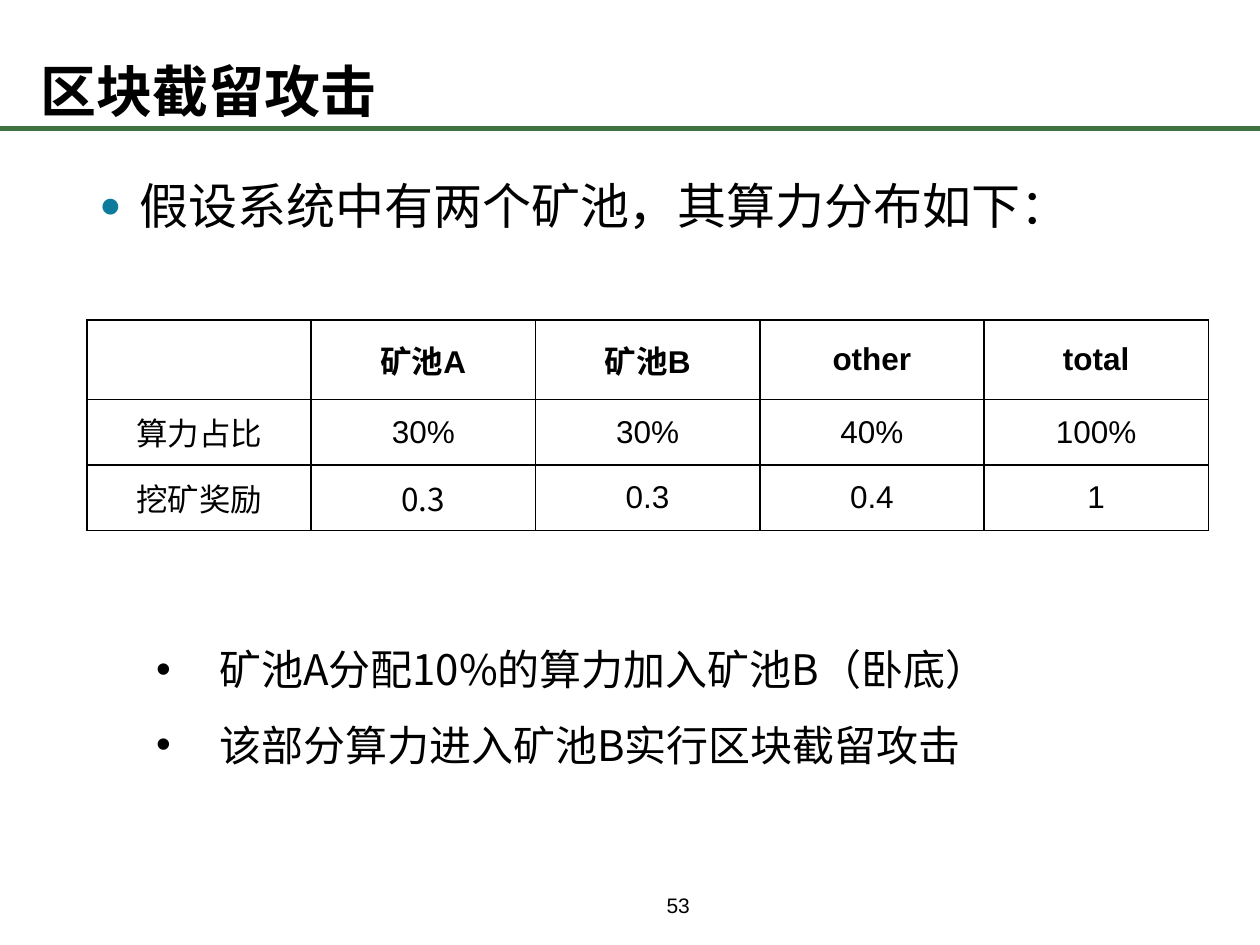
from lxml.etree import SubElement
from pptx import Presentation
from pptx.dml.color import RGBColor
from pptx.enum.shapes import MSO_CONNECTOR
from pptx.enum.text import MSO_ANCHOR, PP_ALIGN
from pptx.oxml.ns import qn
from pptx.util import Inches, Pt

COLORS = {"text": "000000", "rule": "3F7141", "dot": "0C7B9C", "cell": "FFFFFF"}
SANS, HAN = "Arial", "Noto Sans CJK SC"
ROWS = [
    ["", "矿池A", "矿池B", "other", "total"],
    ["算力占比", "30%", "30%", "40%", "100%"],
    ["挖矿奖励", "0.3", "0.3", "0.4", "1"],
]
POINTS = ["矿池A分配10%的算力加入矿池B（卧底）", "该部分算力进入矿池B实行区块截留攻击"]


def rgb(name):
    return RGBColor.from_string(COLORS[name])


def style(par, size, face=HAN, bold=False):
    """Set the font of a paragraph, for Latin and Chinese text."""
    font = par.font
    font.size, font.name, font.bold = Pt(size), face, bold
    font.color.rgb = rgb("text")
    SubElement(par._p.pPr.find(qn("a:defRPr")), qn("a:ea"), typeface=HAN)


def indent(par, left, hang=0):
    props = par._p.get_or_add_pPr()
    props.set("marL", str(Inches(left)))
    props.set("indent", str(-Inches(hang)))
    return props


def bullet(par, char, hang, color="text", scale=100):
    props = indent(par, hang, hang)
    tint = SubElement(props, qn("a:buClr"))
    SubElement(tint, qn("a:srgbClr"), val=COLORS[color])
    SubElement(props, qn("a:buSzPct"), val=str(scale * 1000))
    SubElement(props, qn("a:buFont"), typeface=SANS)
    SubElement(props, qn("a:buChar"), char=char)


def add_box(slide, left, top, width, height):
    box = slide.shapes.add_textbox(
        Inches(left), Inches(top), Inches(width), Inches(height))
    box.text_frame.word_wrap = True
    return box.text_frame


def add_rule(slide):
    y = Inches(1.02)
    line = slide.shapes.add_connector(MSO_CONNECTOR.STRAIGHT, 0, y, Inches(10), y)
    line.line.color.rgb = rgb("rule")
    line.line.width = Pt(3)
    SubElement(line._element.spPr, qn("a:effectLst"))


def add_title(slide, text):
    title = slide.shapes.title
    title.left, title.top = Inches(0.22), Inches(0.27)
    title.width, title.height = Inches(8.62), Inches(0.93)
    frame = title.text_frame
    frame.text = text
    frame.vertical_anchor = MSO_ANCHOR.MIDDLE
    par = frame.paragraphs[0]
    par.alignment = PP_ALIGN.LEFT
    par.line_spacing = Pt(36)
    style(par, 32, bold=True)


def add_lead(slide, text):
    par = add_box(slide, 0.69, 1.34, 8.62, 5.59).paragraphs[0]
    par.text = text
    par.space_after = Pt(4)
    bullet(par, "●", 0.32, "dot", 75)
    style(par, 28)


def add_points(slide, texts):
    frame = add_box(slide, 1.14, 4.86, 7.45, 1.24)
    frame.text = "\n".join(texts)
    for par in frame.paragraphs:
        par.line_spacing = 1.5
        bullet(par, "•", 0.5)
        style(par, 24)


def add_page(slide, number):
    frame = add_box(slide, 0.42, 7, 9.15, 0.28)
    frame.margin_left = frame.margin_right = 0
    frame.margin_top = frame.margin_bottom = 0
    frame.vertical_anchor = MSO_ANCHOR.BOTTOM
    par = frame.paragraphs[0]
    par.text = number
    par.line_spacing = Pt(20)
    indent(par, 4.87)
    style(par, 12, SANS)


def border(cell):
    props = cell._tc.get_or_add_tcPr()
    for side in ("lnL", "lnR", "lnT", "lnB"):
        edge = SubElement(props, qn(f"a:{side}"), w=str(Pt(1)))
        fill = SubElement(edge, qn("a:solidFill"))
        SubElement(fill, qn("a:srgbClr"), val=COLORS["text"])


def add_grid(slide, rows):
    heights = [0.63, 0.52, 0.52]
    table = slide.shapes.add_table(
        len(rows), len(rows[0]), Inches(0.69), Inches(2.54),
        Inches(8.9), Inches(sum(heights))).table
    for col in table.columns:
        col.width = Inches(1.78)
    for r, (row, height) in enumerate(zip(rows, heights)):
        table.rows[r].height = Inches(height)
        for c, text in enumerate(row):
            cell = table.cell(r, c)
            border(cell)
            cell.fill.solid()
            cell.fill.fore_color.rgb = rgb("cell")
            cell.vertical_anchor = MSO_ANCHOR.MIDDLE
            par = cell.text_frame.paragraphs[0]
            par.text = text
            par.alignment = PP_ALIGN.CENTER
            style(par, 18, HAN if (r, c) == (2, 1) else SANS, r == 0)


def main():
    deck = Presentation()
    deck.slide_width, deck.slide_height = Inches(10), Inches(7.5)
    slide = deck.slides.add_slide(deck.slide_layouts[5])
    add_rule(slide)
    add_page(slide, "53")
    add_lead(slide, "假设系统中有两个矿池，其算力分布如下：")
    add_title(slide, "区块截留攻击")
    add_grid(slide, ROWS)
    add_points(slide, POINTS)
    deck.save("out.pptx")


if __name__ == "__main__":
    main()
